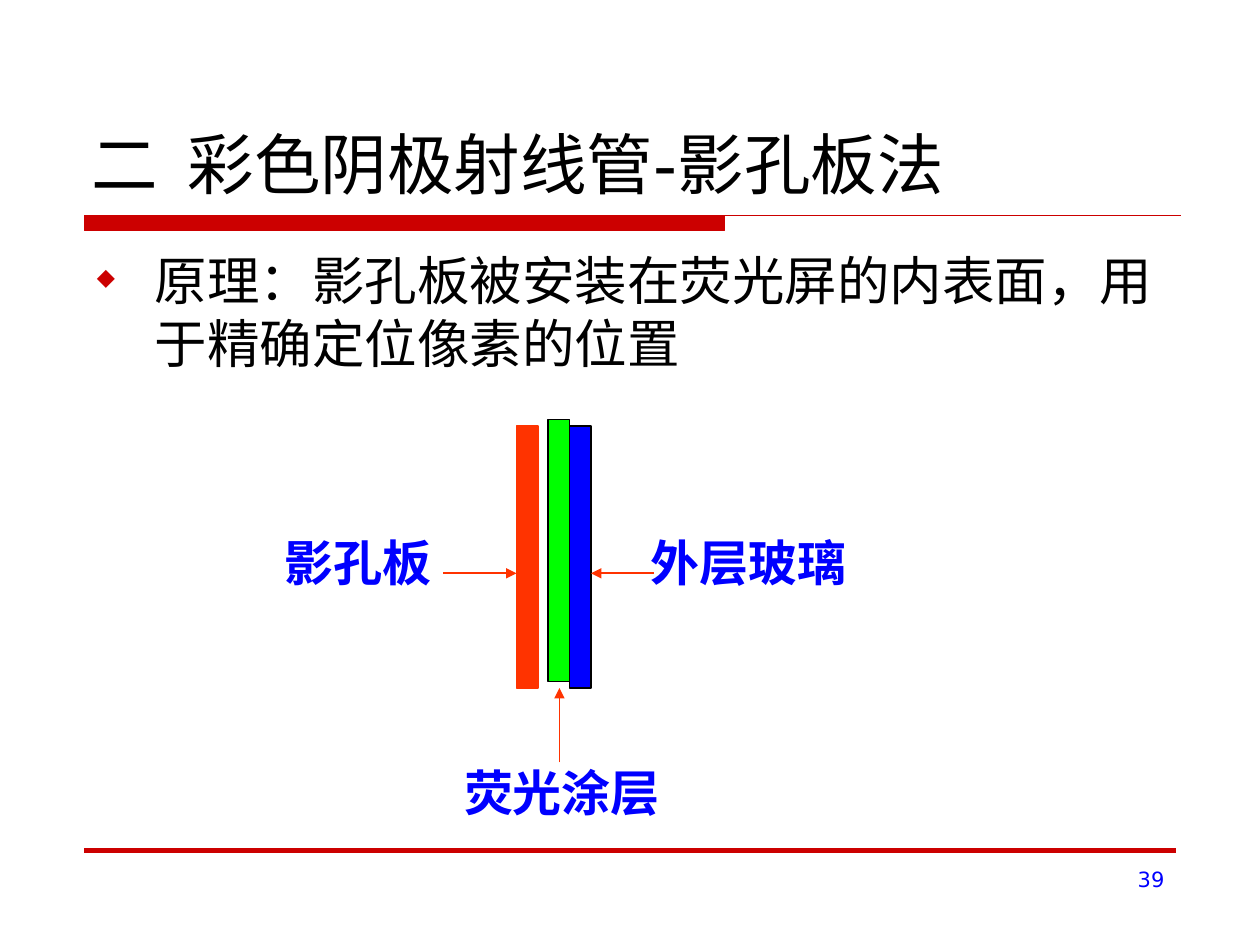
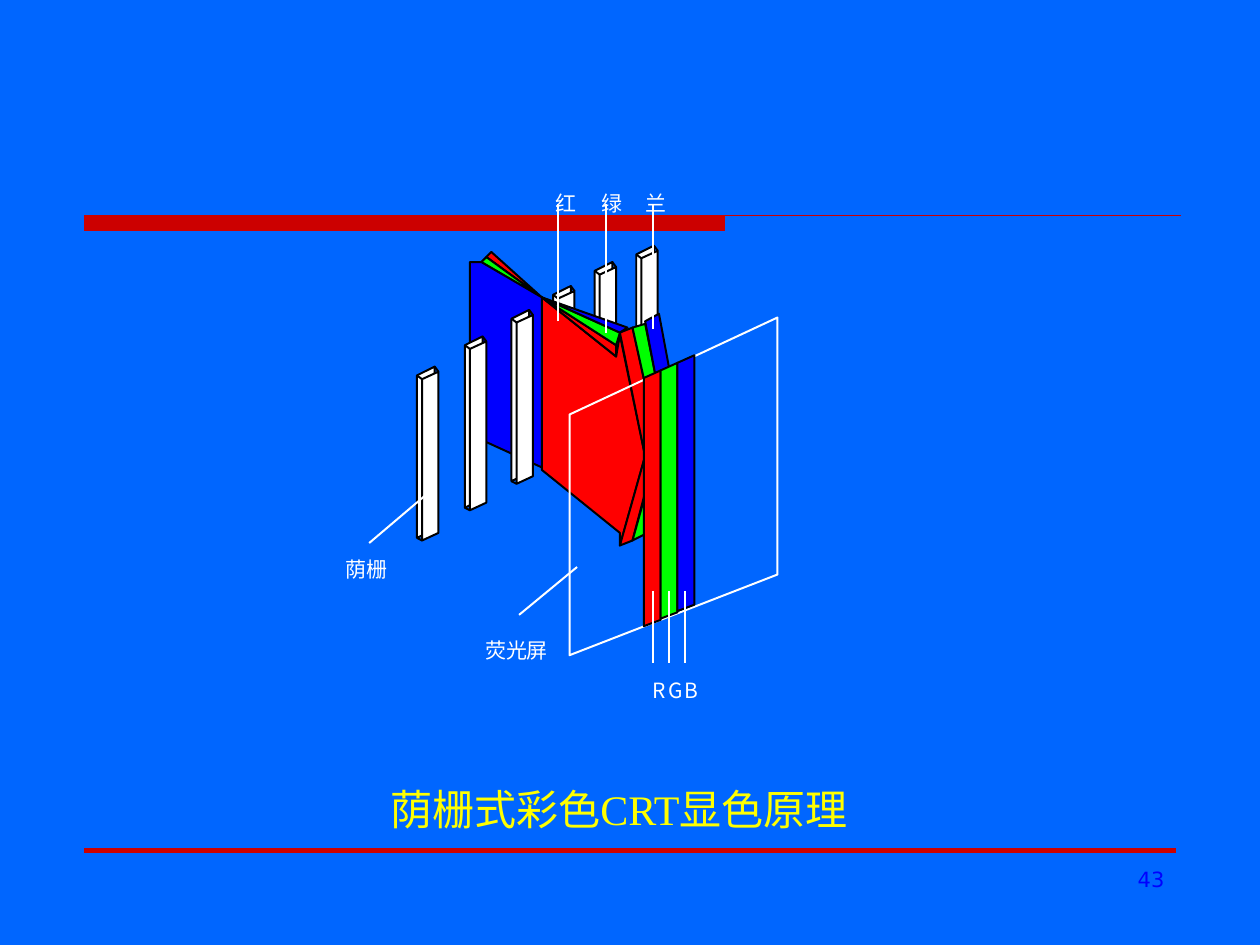
from lxml import etree
from pptx import Presentation
from pptx.dml import color
from pptx.enum import shapes, text
from pptx.oxml import ns
from pptx import util as u

COLUMNS, ROWS = 10, 7.5
CELL = u.Inches(1)
RED, GREEN, BLUE = "FF0000", "00FF00", "0000FF"
BLACK, WHITE, YELLOW = "000000", "FFFFFF", "FFFF00"
BAND, ORANGE, SKY = "CC0000", "FF3300", "0066FF"
SANS, CJK, SERIF = "DejaVu Sans", "Noto Sans CJK SC", "Times New Roman"
LEFT, CENTER, RIGHT = text.PP_ALIGN.LEFT, text.PP_ALIGN.CENTER, text.PP_ALIGN.RIGHT
TOP, BOTTOM = text.MSO_ANCHOR.TOP, text.MSO_ANCHOR.BOTTOM
EDGE, THIN, DRAWN, THICK = 0.75, 1, 1.13, 2.5
LABEL_WIDTH, NOTE_WIDTH = 2.4, 0.8


def grid(*cells):
    """Turn grid columns or rows into slide lengths."""
    return [u.Emu(round(c * CELL)) for c in cells]


def rgb(value):
    """Turn a hex string into a colour."""
    return color.RGBColor.from_string(value)


def add_xml(parent, tag, **attrs):
    """Append a drawing element with attributes."""
    return etree.SubElement(parent, ns.qn(tag), {k: str(v) for k, v in attrs.items()})


def paint(sp, fill, line, width):
    """Set fill and outline; None leaves the inside empty."""
    sp.shadow.inherit = False
    if fill:
        sp.fill.solid()
        sp.fill.fore_color.rgb = rgb(fill)
    else:
        sp.fill.background()
    sp.line.color.rgb = rgb(line)
    sp.line.width = u.Pt(width)


def add_rect(slide, box, fill, line):
    """Draw a filled rectangle."""
    sp = slide.shapes.add_shape(shapes.MSO_SHAPE.RECTANGLE, *grid(*box))
    paint(sp, fill, line, EDGE)


def add_line(slide, start, end, line, width=DRAWN, arrow=False):
    """Draw a straight line, with an arrowhead at its end if asked."""
    sp = slide.shapes.add_connector(shapes.MSO_CONNECTOR.STRAIGHT, *grid(*start, *end))
    sp.line.color.rgb = rgb(line)
    sp.line.width = u.Pt(width)
    if arrow:
        add_xml(sp.line._get_or_add_ln(), "a:tailEnd", type="triangle")
    add_xml(sp._element.spPr, "a:effectLst")


def add_polygon(slide, points, fill, line=BLACK):
    """Draw a closed outline through the points."""
    first, *rest = [grid(*point) for point in points]
    builder = slide.shapes.build_freeform(*first, scale=1.0)
    builder.add_line_segments(rest, close=True)
    paint(builder.convert_to_shape(), fill, line, DRAWN)


def add_bullet(p, char, colour, percent, margin, hang):
    """Give a paragraph a hanging bullet."""
    pPr = p._p.get_or_add_pPr()
    pPr.set("marL", str(grid(margin)[0]))
    pPr.set("indent", str(-grid(hang)[0]))
    add_xml(add_xml(pPr, "a:buClr"), "a:srgbClr", val=colour)
    add_xml(pPr, "a:buSzPct", val=percent * 1000)
    add_xml(pPr, "a:buChar", char=char)


def add_text(slide, words, box, size, colour, font=SANS, east=SANS, bold=False,
             align=LEFT, anchor=TOP, wrap=True, inset=(0.1, 0.05), bullet=None, tab=None):
    """Write one formatted paragraph in a box."""
    tf = slide.shapes.add_textbox(*grid(*box)).text_frame
    tf.word_wrap = wrap
    tf.vertical_anchor = anchor
    tf.margin_left, tf.margin_top = grid(*inset)
    tf.margin_right, tf.margin_bottom = grid(*inset)
    p = tf.paragraphs[0]
    p.alignment = align
    if bullet:
        add_bullet(p, **bullet)
    if tab:
        stops = add_xml(p._p.get_or_add_pPr(), "a:tabLst")
        add_xml(stops, "a:tab", pos=grid(tab)[0], algn="l")
    r = p.add_run()
    r.text = words
    r.font.size, r.font.bold, r.font.name = u.Pt(size), bold, font
    r.font.color.rgb = rgb(colour)
    add_xml(r._r.get_or_add_rPr(), "a:ea", typeface=east)


def add_label(slide, words, center, y):
    """Write a bold blue label centred on a column of the layer diagram."""
    add_text(slide, words, (center - LABEL_WIDTH / 2, y, LABEL_WIDTH, 0.57), 28, BLUE, SERIF,
             bold=True, align=CENTER, wrap=False)


def add_note(slide, words, center, y):
    """Write a small white note centred on a column of the grille drawing."""
    add_text(slide, words, (center - NOTE_WIDTH / 2, y, NOTE_WIDTH, 0.29), 12, WHITE, CJK, CJK,
             align=CENTER, anchor=BOTTOM, wrap=False, inset=(0, 0))


def add_slat(slide, x, y):
    """Draw one grille slat: back face, front face and joining edges."""
    back = [(x, y + 0.07), (x + 0.14, y), (x + 0.14, y + 1.29), (x, y + 1.36)]
    front = [(x + 0.04, y + 0.1), (x + 0.17, y + 0.04),
             (x + 0.17, y + 1.32), (x + 0.04, y + 1.38)]
    for face in (back, front):
        add_polygon(slide, face, WHITE)
    for corner in (0, 1, 3):
        add_line(slide, back[corner], front[corner], BLACK)


def add_beams(slide):
    """Draw the three beams crossing at the slit."""
    slit, spot = (4.3, 2.36), (5.12, 3.62)
    beams = [
        (RED, [spot, (4.92, 2.66), (4.89, 2.83), slit, (4.3, 3.73), (4.92, 4.23), (4.92, 4.33)]),
        (RED, [spot, (4.92, 2.64), (5.02, 2.6), (5.12, 3.05)]),
        (RED, [(4.92, 4.33), spot, (5.12, 3.91), (5.02, 4.29)]),
        (RED, [(4.89, 2.83), slit, (4.89, 2.74)]),
        (RED, [slit, (3.9, 2), (3.86, 2.04)]),
        (GREEN, [(5.02, 2.6), (5.12, 2.57), (5.21, 3.02), (5.12, 3.05)]),
        (GREEN, [(5.02, 4.29), (5.14, 4.23), (5.14, 3.86)]),
        (GREEN, [slit, (4.89, 2.74), (4.92, 2.64)]),
        (GREEN, [slit, (3.86, 2.04), (3.82, 2.08)]),
        (BLUE, [(5.12, 2.55), (5.21, 3.02), (5.31, 2.92), (5.23, 2.49)]),
        (BLUE, [slit, (4.98, 2.6), (4.92, 2.64)]),
        (BLUE, [slit, (3.82, 2.08), (3.73, 2.08), (3.73, 3.45), (4.3, 3.71)]),
    ]
    for fill, points in beams:
        add_polygon(slide, points, fill)


def add_stripes(slide):
    """Draw the phosphor stripes with their leaders and letters."""
    step = 0.4 / 3
    for i, fill in enumerate((RED, GREEN, BLUE)):
        x, y = 5.11 + i * step, 2.94 - i * 0.06
        add_polygon(slide, [(x, y + 2.03), (x + step, y + 1.98),
                            (x + step, y), (x, y + 0.06)], fill)
    for i, letter in enumerate("RGB"):
        x = 5.18 + i * 0.13
        add_line(slide, (x, 4.69), (x, 5.26), WHITE)
        add_note(slide, letter, x + 0.05, 5.29)


def add_page(prs, number, back):
    """Add a slide with its background, bands and page number."""
    slide = prs.slides.add_slide(prs.slide_layouts[6])
    slide.background.fill.solid()
    slide.background.fill.fore_color.rgb = rgb(back)
    add_rect(slide, (0.67, 1.71, 5.08, 0.12), BAND, BAND)
    add_line(slide, (0.67, 1.71), (9.37, 1.71), BAND, THIN)
    add_line(slide, (0.67, 6.75), (9.33, 6.75), BAND, THICK)
    add_text(slide, str(number), (7.17, 6.83, 2.17, 0.52), 12, BLUE, align=RIGHT)
    return slide


def build_mask(prs):
    """Build the shadow mask slide."""
    slide = add_page(prs, 39, WHITE)
    add_text(slide, "二\t彩色阴极射线管-影孔板法", (0.63, 0.33, 8.75, 1.33), 38, BLACK,
             anchor=BOTTOM, tab=0.76)
    add_text(slide, "原理：影孔板被安装在荧光屏的内表面，用于精确定位像素的位置",
             (0.62, 1.92, 8.75, 4.67), 30, BLACK,
             bullet=dict(char="◆", colour=BAND, percent=45, margin=0.51, hang=0.46))
    for x, y, fill, line in ((4.1, 3.38, ORANGE, ORANGE), (4.35, 3.33, GREEN, BLACK),
                             (4.52, 3.38, BLUE, BLACK)):
        add_rect(slide, (x, y, 0.17, 2.08), fill, line)
    for start, end in (((5.19, 4.55), (4.69, 4.55)), ((4.44, 6.05), (4.44, 5.46)),
                       ((3.52, 4.55), (4.1, 4.55))):
        add_line(slide, start, end, ORANGE, THIN, arrow=True)
    add_label(slide, "外层玻璃", 5.94, 4.18)
    add_label(slide, "影孔板", 2.84, 4.18)
    add_label(slide, "荧光涂层", 4.46, 6)


def build_grille(prs):
    """Build the aperture grille slide."""
    slide = add_page(prs, 43, SKY)
    for x, y in ((4.39, 2.27), (4.72, 2.08), (5.05, 1.95), (3.31, 2.91)):
        add_slat(slide, x, y)
    add_beams(slide)
    add_slat(slide, 4.06, 2.46)
    add_polygon(slide, [(4.52, 3.29), (6.17, 2.52), (6.17, 4.56), (4.52, 5.2)], None, WHITE)
    add_slat(slide, 3.69, 2.67)
    add_stripes(slide)
    for name, x, bottom, center in (("红", 4.43, 2.55, 4.49), ("绿", 4.81, 2.64, 4.86),
                                    ("兰", 5.18, 2.61, 5.21)):
        add_line(slide, (x, bottom), (x, 1.62), WHITE)
        add_note(slide, name, center, 1.42)
    add_line(slide, (3.39, 3.92), (2.93, 4.31), WHITE)
    add_note(slide, "荫栅", 2.91, 4.33)
    add_line(slide, (4.58, 4.5), (4.12, 4.88), WHITE)
    add_note(slide, "荧光屏", 4.1, 4.97)
    add_text(slide, "荫栅式彩色CRT显色原理", (3, 6.17, 4.75, 0.5), 24, YELLOW, SERIF)


def main():
    """Build both slides and save them."""
    prs = Presentation()
    prs.slide_width, prs.slide_height = grid(COLUMNS, ROWS)
    build_mask(prs)
    build_grille(prs)
    prs.save("out.pptx")


if __name__ == "__main__":
    main()
